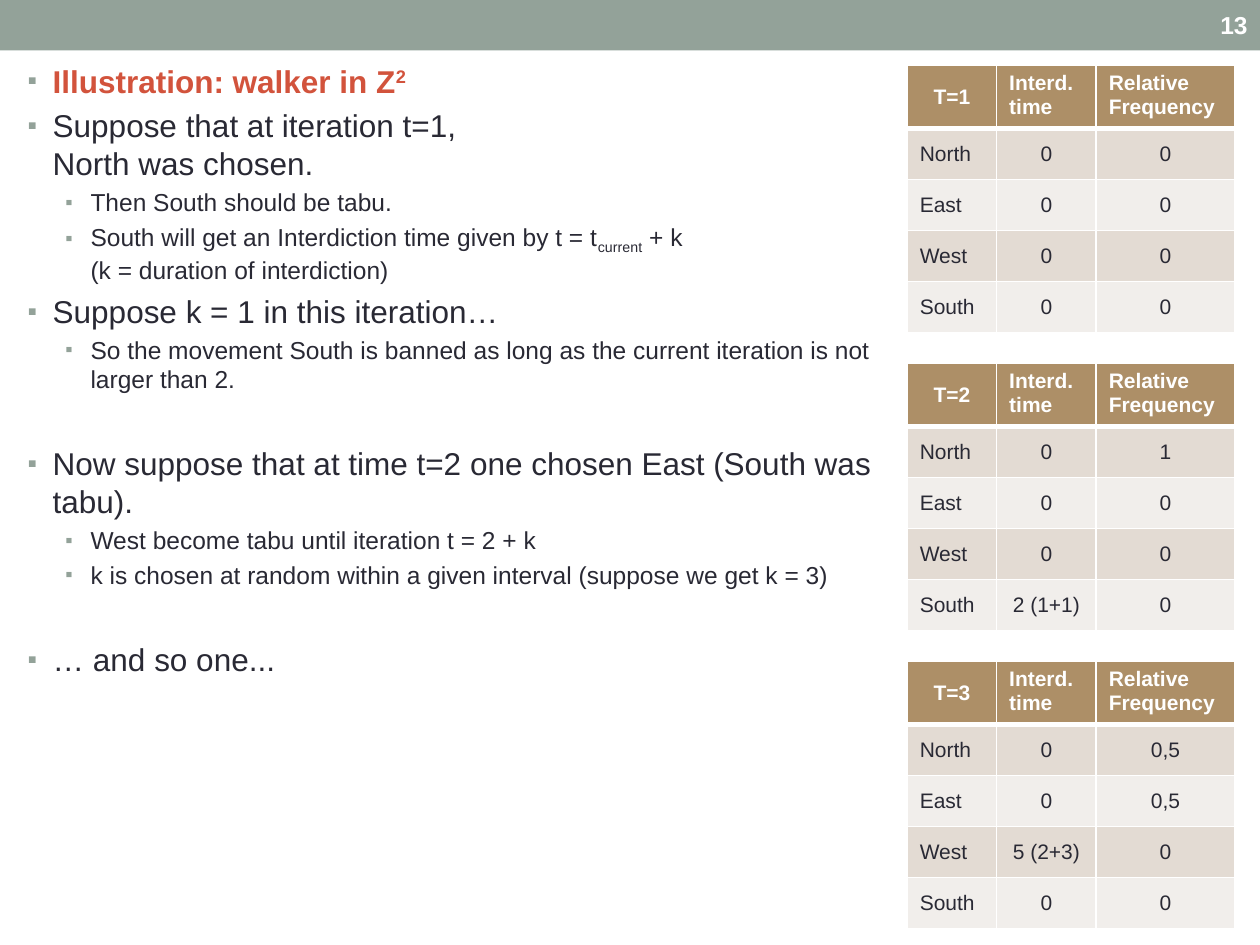
from dataclasses import dataclass

import pptx
import pptx.dml.color
import pptx.enum.shapes
import pptx.enum.text
import pptx.oxml.ns
import pptx.util
from lxml import etree

Inches = pptx.util.Inches
Pt = pptx.util.Pt
ALIGN = pptx.enum.text.PP_ALIGN
ANCHOR = pptx.enum.text.MSO_ANCHOR


@dataclass(frozen=True)
class Theme:
    font: str = "Arial"
    band: str = "93A299"
    accent: str = "D2533C"
    ink: str = "292934"
    white: str = "FFFFFF"
    header: str = "AD8F67"
    stripes: tuple = ("E3DBD3", "F1EEEB")
    level_sizes: tuple = (18, 14)
    number_size: int = 14
    table_size: int = 12


THEME = Theme()

# Each bullet: level, runs as (text, baseline percent), space before in points
BULLETS = [
    (0, [("Illustration: walker in Z", 0), ("2", 30)], 4),
    (0, [("Suppose that at iteration t=1,\nNorth was chosen.", 0)], 4),
    (1, [("Then South should be tabu.", 0)], 3),
    (1, [("South will get an Interdiction time given by t = t", 0), ("current", -25),
         (" + k\n(k = duration of interdiction)", 0)], 3),
    (0, [("Suppose k = 1 in this iteration…", 0)], 4),
    (1, [("So the movement South is banned as long as the current iteration "
          "is not larger than 2.", 0)], 3),
    (0, [("Now suppose that at time t=2 one chosen East (South was tabu).", 0)], 29),
    (1, [("West become tabu until iteration t = 2 + k", 0)], 3),
    (1, [("k is chosen at random within a given interval (suppose we get k = 3)", 0)], 3),
    (0, [("… and so one...", 0)], 29),
]

DIRECTIONS = ("North", "East", "West", "South")
# Each table: title, interdiction times, relative frequencies
TABU_TABLES = [
    ("T=1", ("0", "0", "0", "0"), ("0", "0", "0", "0")),
    ("T=2", ("0", "0", "0", "2 (1+1)"), ("1", "0", "0", "0")),
    ("T=3", ("0", "0", "5 (2+3)", "0"), ("0,5", "0,5", "0", "0")),
]


def rgb(color):
    return pptx.dml.color.RGBColor.from_string(color)


def add_element(parent, tag, **attributes):
    return etree.SubElement(parent, pptx.oxml.ns.qn(tag), attributes)


def style_font(font, size, color, bold=False):
    font.name = THEME.font
    font.size = Pt(size)
    font.bold = bold
    font.color.rgb = rgb(color)


def add_header_band(slide, left, top, width, height):
    band = slide.shapes.add_shape(
        pptx.enum.shapes.MSO_SHAPE.RECTANGLE, left, top, width, height)
    band.shadow.inherit = False
    band.fill.solid()
    band.fill.fore_color.rgb = rgb(THEME.band)
    band.line.fill.background()


def add_slide_number(slide, left, top, width, height):
    frame = slide.shapes.add_textbox(left, top, width, height).text_frame
    frame.word_wrap = True
    frame.vertical_anchor = ANCHOR.MIDDLE
    paragraph = frame.paragraphs[0]
    paragraph.text = "13"
    paragraph.alignment = ALIGN.RIGHT
    style_font(paragraph.font, THEME.number_size, THEME.white, bold=True)


def set_bullet(paragraph, level):
    properties = paragraph._p.get_or_add_pPr()
    properties.set("marL", str(Inches((0.2, 0.5)[level])))
    properties.set("indent", str(Inches(-0.2)))
    color = add_element(properties, "a:buClr")
    add_element(color, "a:srgbClr", val=THEME.band)
    add_element(properties, "a:buSzPct", val="85000")
    add_element(properties, "a:buFont", typeface=THEME.font)
    add_element(properties, "a:buChar", char="▪")


def add_bullets(slide, left, top, width, height):
    frame = slide.shapes.add_textbox(left, top, width, height).text_frame
    frame.word_wrap = True
    for index, (level, runs, space_before) in enumerate(BULLETS):
        paragraph = frame.add_paragraph() if index else frame.paragraphs[0]
        paragraph.level = level
        paragraph.space_before = Pt(space_before)
        set_bullet(paragraph, level)
        is_title = index == 0
        style_font(paragraph.font, THEME.level_sizes[level],
                   THEME.accent if is_title else THEME.ink, is_title)
        for text, baseline in runs:
            for line_index, line in enumerate(text.split("\n")):
                if line_index:
                    paragraph.add_line_break()
                run = paragraph.add_run()
                run.text = line
                if baseline:
                    run.font._element.set("baseline", str(baseline * 1000))


def set_borders(cell, bottom_width):
    properties = cell._tc.get_or_add_tcPr()
    widths = {"a:lnL": 1, "a:lnR": 1, "a:lnT": 1, "a:lnB": bottom_width}
    for position, (tag, width) in enumerate(widths.items()):
        line = add_element(properties, tag, w=str(Pt(width)))
        add_element(add_element(line, "a:solidFill"), "a:srgbClr", val=THEME.white)
        properties.insert(position, line)


def fill_cell(cell, text, row, column):
    is_header = row == 0
    cell.text = text
    cell.fill.solid()
    cell.fill.fore_color.rgb = rgb(
        THEME.header if is_header else THEME.stripes[(row - 1) % 2])
    if not is_header or column == 0:
        cell.vertical_anchor = ANCHOR.MIDDLE
    for paragraph in cell.text_frame.paragraphs:
        if is_header == (column == 0):
            paragraph.alignment = ALIGN.CENTER
        style_font(paragraph.font, THEME.table_size,
                   THEME.white if is_header else THEME.ink, is_header)
    set_borders(cell, 3 if is_header else 1)


def add_tabu_table(slide, left, top, width, height, title, times, frequencies):
    rows = [(title, "Interd.\ntime", "Relative Frequency"),
            *zip(DIRECTIONS, times, frequencies)]
    table = slide.shapes.add_table(len(rows), 3, left, top, width, height).table
    for column, share in zip(table.columns, (0.71, 0.79, 1.1)):
        column.width = int(width * share / 2.6)
    header_height = Inches(0.47)
    for index, row in enumerate(table.rows):
        row.height = (height - header_height) // len(DIRECTIONS) if index else header_height
    for row, texts in enumerate(rows):
        for column, text in enumerate(texts):
            fill_cell(table.cell(row, column), text, row, column)


def main():
    presentation = pptx.Presentation()
    presentation.slide_width = Inches(10)
    presentation.slide_height = Inches(7.5)
    slide = presentation.slides.add_slide(presentation.slide_layouts[6])

    # Header
    add_header_band(slide, 0, 0, presentation.slide_width, Inches(0.4))
    add_slide_number(slide, Inches(8.83), Inches(0.02), Inches(1.17), Inches(0.36))

    # Explanation on the left
    add_bullets(slide, Inches(0.12), Inches(0.44), Inches(7.01), Inches(6.64))

    # Evenly spaced tables on the right
    first_top, last_top = Inches(0.52), Inches(5.25)
    step = (last_top - first_top) // (len(TABU_TABLES) - 1)
    for index, content in enumerate(TABU_TABLES):
        add_tabu_table(slide, Inches(7.2), first_top + index * step,
                       Inches(2.6), Inches(2.09), *content)

    presentation.save("out.pptx")


if __name__ == "__main__":
    main()
